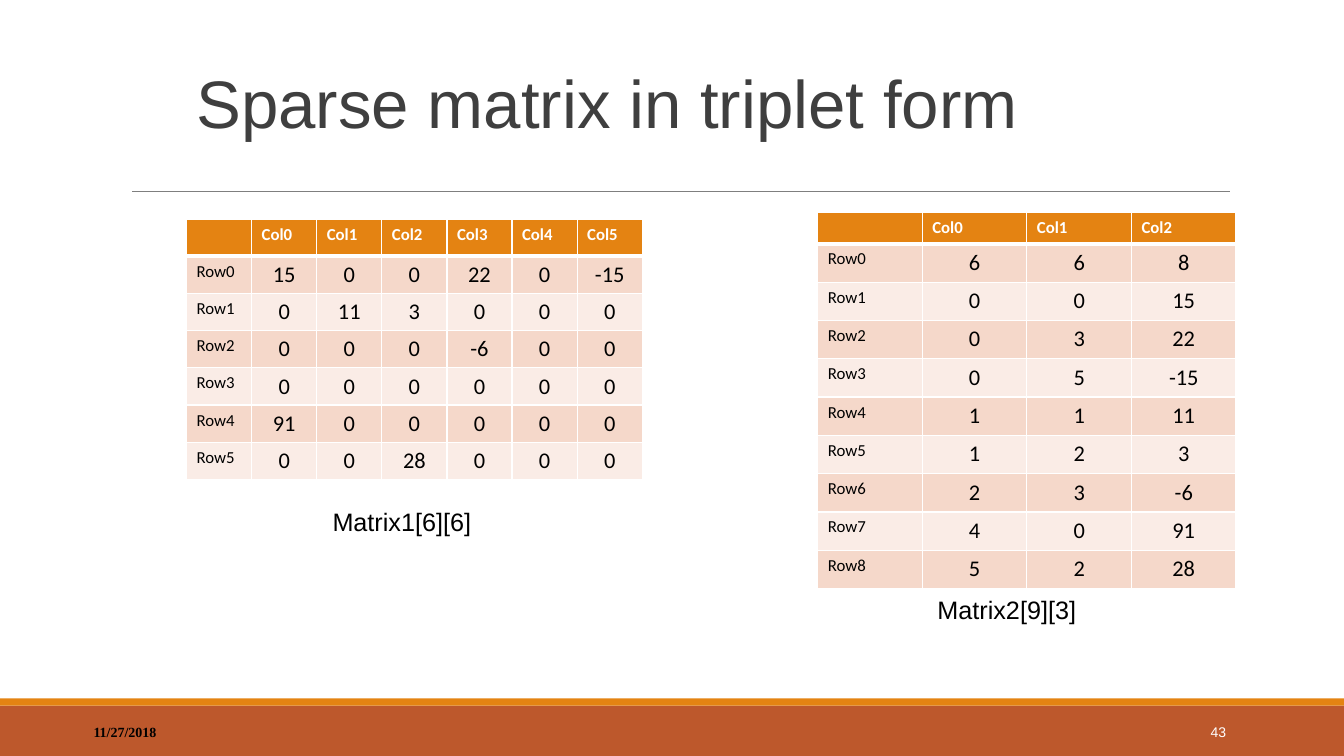
from dataclasses import dataclass

from lxml.etree import SubElement
from pptx import Presentation
from pptx.dml.color import RGBColor
from pptx.enum.shapes import MSO_CONNECTOR, MSO_SHAPE
from pptx.enum.text import MSO_ANCHOR, PP_ALIGN
from pptx.oxml.ns import qn
from pptx.util import Inches, Pt


@dataclass(frozen=True)
class Theme:
    """Colours, fonts and type sizes of the slide."""
    orange: str = "E48312"
    rust: str = "BD582C"
    bands: tuple = ("F5D8CA", "FAECE6")
    rule: str = "7F7F7F"
    heading: str = "3F3F3F"
    black: str = "000000"
    white: str = "FFFFFF"
    sans: str = "Arial"
    serif: str = "Times New Roman"
    table_face: str = "Calibri"
    title_size: int = 48
    caption_size: int = 18
    value_size: int = 16
    label_size: int = 12
    footer_size: int = 10


class SlideBuilder:
    """Draws styled elements on one slide."""

    def __init__(self, slide, theme):
        self.slide = slide
        self.theme = theme

    def style(self, paragraph, face, size, color, bold=False, align=PP_ALIGN.LEFT):
        """Set the font and alignment of a paragraph."""
        paragraph.alignment = align
        font = paragraph.font
        font.name, font.size, font.bold = face, Pt(size), bold
        font.color.rgb = RGBColor.from_string(color)

    def band(self, left, top, width, height, color):
        """Draw a plain filled rectangle."""
        band = self.slide.shapes.add_shape(
            MSO_SHAPE.RECTANGLE, *map(Inches, (left, top, width, height)))
        band.shadow.inherit = False
        band.fill.solid()
        band.fill.fore_color.rgb = RGBColor.from_string(color)
        band.line.fill.background()

    def rule(self, left, right, y):
        """Draw a thin horizontal line."""
        rule = self.slide.shapes.add_connector(
            MSO_CONNECTOR.STRAIGHT, *map(Inches, (left, y, right, y)))
        rule.line.color.rgb = RGBColor.from_string(self.theme.rule)
        rule.line.width = Pt(0.75)
        SubElement(rule._element.spPr, qn("a:effectLst"))

    def text(self, box, wording, face, size, color, anchor=MSO_ANCHOR.TOP,
             spacing=1.0, **look):
        """Place one line of text in a box."""
        frame = self.slide.shapes.add_textbox(*map(Inches, box)).text_frame
        frame.word_wrap = True
        frame.vertical_anchor = anchor
        paragraph = frame.paragraphs[0]
        paragraph.text = wording
        paragraph.line_spacing = spacing
        self.style(paragraph, face, size, color, **look)

    def border(self, cell, **widths):
        """Give a cell white edges of the given point widths."""
        properties = cell._tc.get_or_add_tcPr()
        for side, width in widths.items():
            edge = SubElement(properties, qn(f"a:ln{side}"), w=str(Pt(width)))
            paint = SubElement(edge, qn("a:solidFill"))
            SubElement(paint, qn("a:srgbClr"), val=self.theme.white)

    def cell(self, cell, wording, row, column):
        """Fill and style one table cell by its place in the grid."""
        theme = self.theme
        header = row == 0
        self.border(cell, L=1, R=1, T=3 if row == 1 else 1, B=3 if header else 1)
        cell.fill.solid()
        cell.fill.fore_color.rgb = RGBColor.from_string(
            theme.orange if header else theme.bands[(row - 1) % 2])
        cell.text = wording
        is_value = not header and column > 0
        self.style(cell.text_frame.paragraphs[0], theme.table_face,
                   theme.value_size if is_value else theme.label_size,
                   theme.white if header else theme.black, bold=header,
                   align=PP_ALIGN.CENTER if is_value else PP_ALIGN.LEFT)

    def matrix(self, left, top, width, header_height, row_height, values):
        """Draw a matrix as a table with row and column labels."""
        header = ["", *(f"Col{i}" for i in range(len(values[0])))]
        grid = [header, *([f"Row{i}", *map(str, line)] for i, line in enumerate(values))]
        height = header_height + row_height * len(values)
        table = self.slide.shapes.add_table(
            len(grid), len(header), *map(Inches, (left, top, width, height))).table
        for column in table.columns:
            column.width = Inches(width / len(header))
        for r, line in enumerate(grid):
            table.rows[r].height = Inches(row_height if r else header_height)
            for c, wording in enumerate(line):
                self.cell(table.cell(r, c), wording, r, c)


def triplets(matrix):
    """Return the size row and the row, column and value of each nonzero entry."""
    entries = [(r, c, value) for r, line in enumerate(matrix)
               for c, value in enumerate(line) if value]
    return [(len(matrix), len(matrix[0]), len(entries)), *entries]


def main():
    """Build and save the slide."""
    theme = Theme()
    deck = Presentation()
    deck.slide_width, deck.slide_height = Inches(13.33), Inches(7.5)
    page = SlideBuilder(deck.slides.add_slide(deck.slide_layouts[6]), theme)

    page.band(0, 7, 13.33, 0.5, theme.rust)
    page.band(0, 6.93, 13.33, 0.07, theme.orange)
    page.rule(1.31, 12.2, 1.9)
    page.text((1.85, 0.4, 11, 1.06), "Sparse matrix in triplet form", theme.sans,
              theme.title_size, theme.heading, MSO_ANCHOR.BOTTOM, 0.85)
    page.text((0.83, 7.06, 3, 0.4), "11/27/2018", theme.serif, theme.footer_size,
              theme.black, MSO_ANCHOR.MIDDLE, bold=True)

    sparse = [
        (15, 0, 0, 22, 0, -15),
        (0, 11, 3, 0, 0, 0),
        (0, 0, 0, -6, 0, 0),
        (0, 0, 0, 0, 0, 0),
        (91, 0, 0, 0, 0, 0),
        (0, 0, 28, 0, 0, 0),
    ]
    page.matrix(1.85, 2.18, 4.52, 0.36, 0.37, sparse)
    page.matrix(8.11, 2.11, 4.15, 0.31, 0.38, triplets(sparse))
    for box, caption in (((3.2, 4.97, 1.66, 0.4), "Matrix1[6][6]"),
                         ((9.2, 5.85, 1.63, 0.4), "Matrix2[9][3]")):
        page.text(box, caption, theme.sans, theme.caption_size, theme.black)
    page.text((10.83, 7.06, 1.43, 0.4), "43", theme.sans, theme.footer_size,
              theme.white, MSO_ANCHOR.MIDDLE, align=PP_ALIGN.RIGHT)
    deck.save("out.pptx")


if __name__ == "__main__":
    main()
